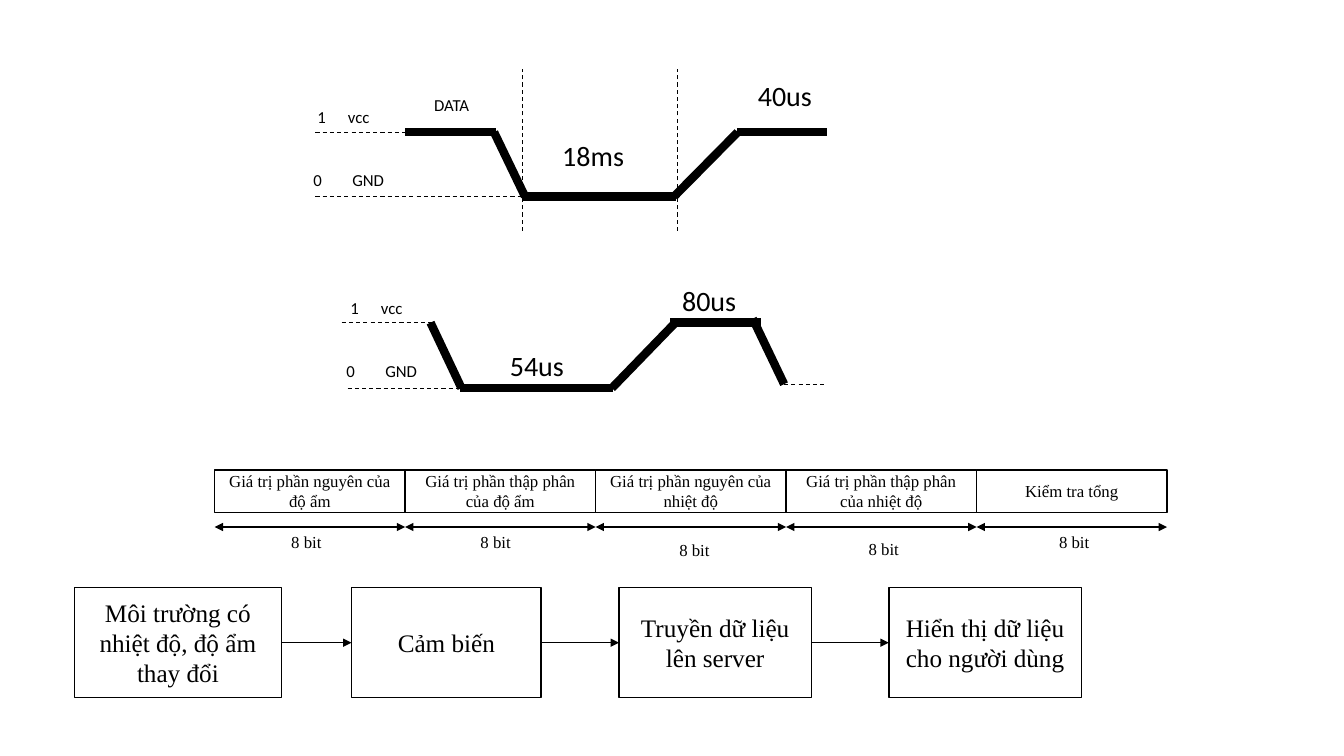
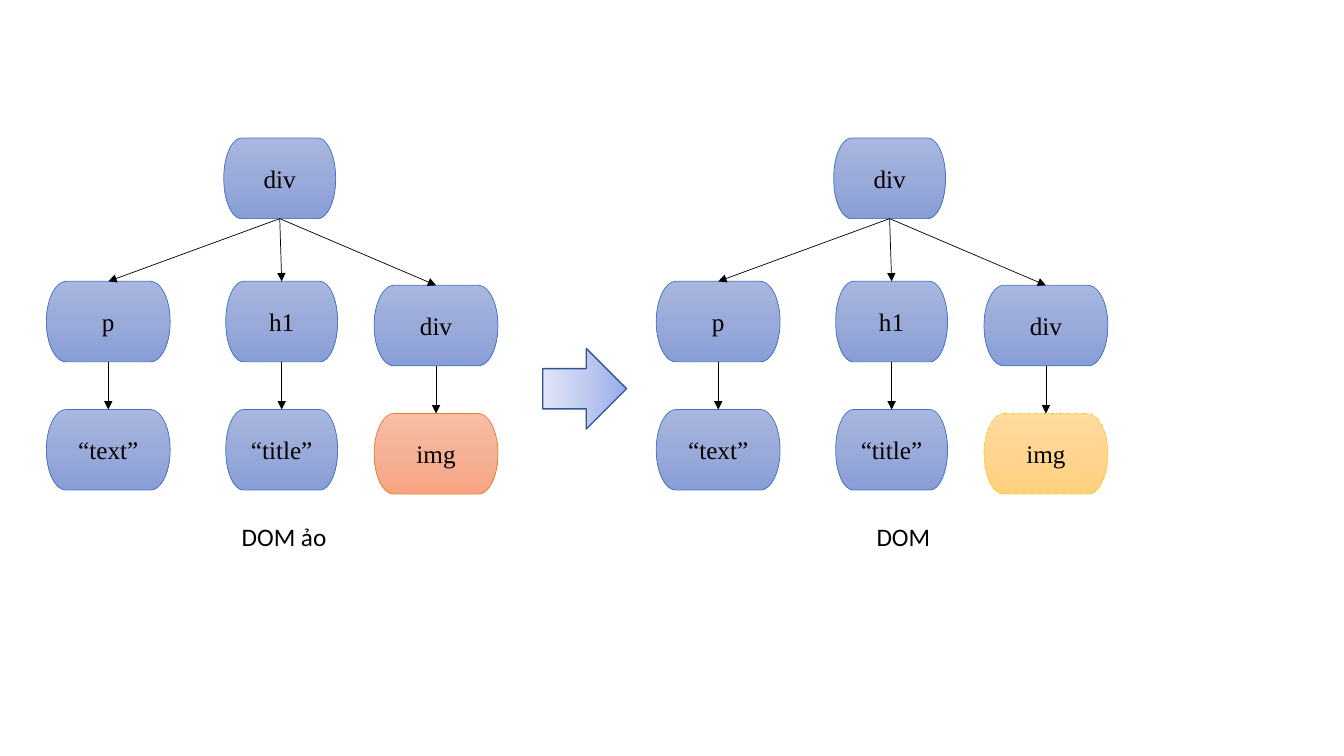
from copy import deepcopy

from lxml.etree import SubElement
from pptx import Presentation
from pptx.dml.color import RGBColor
from pptx.enum.dml import MSO_LINE_DASH_STYLE as Dash
from pptx.enum.shapes import MSO_AUTO_SHAPE_TYPE as Preset, MSO_CONNECTOR_TYPE as Link
from pptx.enum.text import MSO_ANCHOR as Anchor, MSO_AUTO_SIZE as Fit, PP_ALIGN as Align
from pptx.oxml.ns import qn
from pptx.util import Cm, Pt

INK, PAPER = "000000", "FFFFFF"
SANS, SERIF = "Calibri", "Times New Roman"
BLUE = ("A8B7DF", "9AABD9", "889ED7")
ORANGE = ("F7BDA5", "F5B196", "F8A582")
YELLOW = ("FFDB9E", "FFD590", "FFD07C")
ARROW_BLUE = ("96ABEA", "C0CBF0", "E0E5F7")
TOP, BOTTOM, LEFT, RIGHT = 0, 2, 1, 3
DOWNWARD, UPWARD = 270, 90


def rgb(value):
    return RGBColor.from_string(value)


def style_line(line, color, width, dash=None):
    line.color.rgb = rgb(color)
    line.width = Pt(width)
    if dash is not None:
        line.dash_style = dash


def add_run(paragraph, text, size, font):
    run = paragraph.add_run()
    run.text = text
    run.font.size = Pt(size)
    run.font.name = font
    run.font.color.rgb = rgb(INK)


def add_label(slide, box, text, size, font, spacing=None, wrap=True):
    label = slide.shapes.add_textbox(*map(Cm, box))
    frame = label.text_frame
    frame.word_wrap = wrap
    frame.auto_size = Fit.NONE if wrap else Fit.SHAPE_TO_FIT_TEXT
    paragraph = frame.paragraphs[0]
    if spacing:
        paragraph.line_spacing = Pt(spacing)
    add_run(paragraph, text, size, font)


def add_signal_label(slide, box, text, size=12):
    add_label(slide, box, text, size, SANS, spacing=12)


def add_line(slide, start, end, width, dash=None, ends=()):
    line = slide.shapes.add_connector(Link.STRAIGHT, *map(Cm, start + end))
    style_line(line.line, INK, width, dash)
    properties = line._element.spPr
    for end_tag in ends:
        SubElement(properties.find(qn("a:ln")), qn(end_tag), type="triangle")
    SubElement(properties, qn("a:effectLst"))
    return line


def add_arrow(slide, source, source_site, target, target_site, width):
    arrow = add_line(slide, (0, 0), (1, 1), width, ends=["a:tailEnd"])
    arrow.begin_connect(source, source_site)
    arrow.end_connect(target, target_site)


def add_node(slide, preset, box, line_color, line_width, dash=None, text=None, size=18):
    node = slide.shapes.add_shape(preset, *map(Cm, box))
    node.shadow.inherit = False
    style_line(node.line, line_color, line_width, dash)
    if text:
        frame = node.text_frame
        frame.word_wrap = True
        frame.vertical_anchor = Anchor.MIDDLE
        frame.paragraphs[0].alignment = Align.CENTER
        add_run(frame.paragraphs[0], text, size, SERIF)
    return node


def add_box(slide, box, text, size):
    node = add_node(slide, Preset.RECTANGLE, box, INK, 1, text=text, size=size)
    node.fill.solid()
    node.fill.fore_color.rgb = rgb(PAPER)
    return node


def fill_gradient(shape, colors, angle):
    shape.fill.gradient()
    shape.fill.gradient_angle = angle
    stop_list = shape._element.spPr.find(".//" + qn("a:gsLst"))
    stop_list.insert(1, deepcopy(stop_list[0]))
    for index, (stop, color) in enumerate(zip(shape.fill.gradient_stops, colors)):
        stop.color.rgb = rgb(color)
        stop.position = index / 2


def add_signal(slide, pulses, guides):
    for start, end in pulses:
        add_line(slide, start, end, 6)
    for start, end in guides:
        add_line(slide, start, end, 0.75, Dash.DASH)


def add_levels(slide, left, top):
    add_signal_label(slide, (left + 0.1, top, 0.71, 0.76), "1")
    add_signal_label(slide, (left + 0.87, top, 1.68, 1.04), "vcc")
    add_signal_label(slide, (left, top + 1.59, 0.71, 0.76), "0")
    add_signal_label(slide, (left + 0.98, top + 1.59, 1.6, 0.76), "GND")


def add_start_signal(slide):
    high, low = 3.33, 4.95
    pulses = [
        ((10.21, high), (12.5, high)),
        ((12.45, high), (13.23, low)),
        ((13.16, low), (17.04, low)),
        ((18.59, high), (16.99, low)),
        ((18.57, high), (20.85, high)),
    ]
    guides = [((7.95, low), (13.84, low)), ((7.95, high), (10.21, high))]
    guides += [((x, 5.82), (x, 1.73)) for x in (13.16, 17.07)]
    add_signal(slide, pulses, guides)
    add_levels(slide, 7.65, 2.65)
    add_signal_label(slide, (10.69, 2.36, 1.6, 1.02), "DATA")
    add_signal_label(slide, (13.92, 3.78, 2.21, 0.94), "18ms", 20)
    add_signal_label(slide, (18.85, 2.29, 1.98, 0.94), "40us", 20)


def add_response_signal(slide):
    high, low, final = 8.13, 9.78, 9.68
    pulses = [
        ((10.85, high), (11.63, low)),
        ((11.58, low), (15.44, low)),
        ((17.02, high), (15.42, low)),
        ((16.89, high), (19.18, high)),
        ((18.97, 8.03), (19.76, final)),
    ]
    guides = [
        ((8.76, low), (12.55, low)),
        ((8.61, high), (10.9, high)),
        ((19.76, final), (20.85, final)),
    ]
    add_signal(slide, pulses, guides)
    add_levels(slide, 8.48, 7.47)
    add_signal_label(slide, (12.6, 9.09, 2.21, 0.94), "54us", 20)
    add_signal_label(slide, (16.94, 7.44, 1.98, 0.94), "80us", 20)


def add_data_frame(slide):
    fields = [
        ("Giá trị phần nguyên của độ ẩm", 7.09, 13.28),
        ("Giá trị phần thập phân của độ ẩm", 11.86, 13.28),
        ("Giá trị phần nguyên của nhiệt độ", 16.87, 13.48),
        ("Giá trị phần thập phân của nhiệt độ", 21.64, 13.46),
        ("Kiểm tra tổng", 26.44, 13.28),
    ]
    width, arrow_top = 4.8, 13.28
    for index, (text, bit_left, bit_top) in enumerate(fields):
        left = 5.41 + index * width
        add_box(slide, (left, 11.84, width, 1.07), text, 12)
        add_line(slide, (left, arrow_top), (left + width, arrow_top), 1.5,
                 ends=["a:headEnd", "a:tailEnd"])
        add_label(slide, (bit_left, bit_top, 1.3, 0.76), "8 bit", 12, SERIF, wrap=False)


def add_process(slide):
    steps = [
        ("Môi trường có nhiệt độ, độ ẩm thay đổi", 1.88, 5.21),
        ("Cảm biến", 8.86, 4.78),
        ("Truyền dữ liệu lên server", 15.6, 4.85),
        ("Hiển thị dữ liệu cho người dùng", 22.4, 4.85),
    ]
    boxes = [add_box(slide, (left, 14.81, width, 2.77), text, 18)
             for text, left, width in steps]
    for source, target in zip(boxes, boxes[1:]):
        add_arrow(slide, source, RIGHT, target, LEFT, 1)


def add_tag(slide, left, top, width, text, colors=BLUE, line_color="4472C4", dash=None):
    tag = add_node(slide, Preset.FLOWCHART_TERMINATOR, (left, top, width, 2.03),
                   line_color, 0.5, dash, text)
    fill_gradient(tag, colors, DOWNWARD)
    return tag


def add_tree(slide, left, image_style):
    root = add_tag(slide, left + 4.47, 3.48, 2.82, "div")
    branches = [
        (0, 7.09, 3.12, "p", "“text”", ()),
        (4.52, 7.09, 2.82, "h1", "“title”", ()),
        (8.26, 7.19, 3.12, "div", "img", image_style),
    ]
    for offset, top, width, parent_text, leaf_text, leaf_style in branches:
        parent = add_tag(slide, left + offset, top, width, parent_text)
        leaf = add_tag(slide, left + offset, top + 3.23, width, leaf_text, *leaf_style)
        add_arrow(slide, root, BOTTOM, parent, TOP, 0.5)
        add_arrow(slide, parent, BOTTOM, leaf, TOP, 0.5)


def build_sensor_slide(slide):
    add_start_signal(slide)
    add_response_signal(slide)
    add_data_frame(slide)
    add_process(slide)


def build_dom_slide(slide):
    add_tree(slide, 1.17, (ORANGE, "ED7D31"))
    add_tree(slide, 16.64 - 0.1, (YELLOW, "FFC000", Dash.DASH_DOT))
    update = add_node(slide, Preset.DOWN_ARROW, (13.72, 8.74, 2.03, 2.11), "325491", 1)
    update.rotation = 270
    fill_gradient(update, ARROW_BLUE, UPWARD)
    for left, width, text in [(5.84, 2.67, "DOM ảo"), (21.84, 1.88, "DOM")]:
        add_label(slide, (left, 13, width, 1.02), text, 18, SANS, wrap=False)


def main():
    deck = Presentation()
    deck.slide_width, deck.slide_height = Cm(33.87), Cm(19.05)
    blank = deck.slide_layouts[6]
    for build in (build_sensor_slide, build_dom_slide):
        build(deck.slides.add_slide(blank))
    deck.save("out.pptx")


if __name__ == "__main__":
    main()
